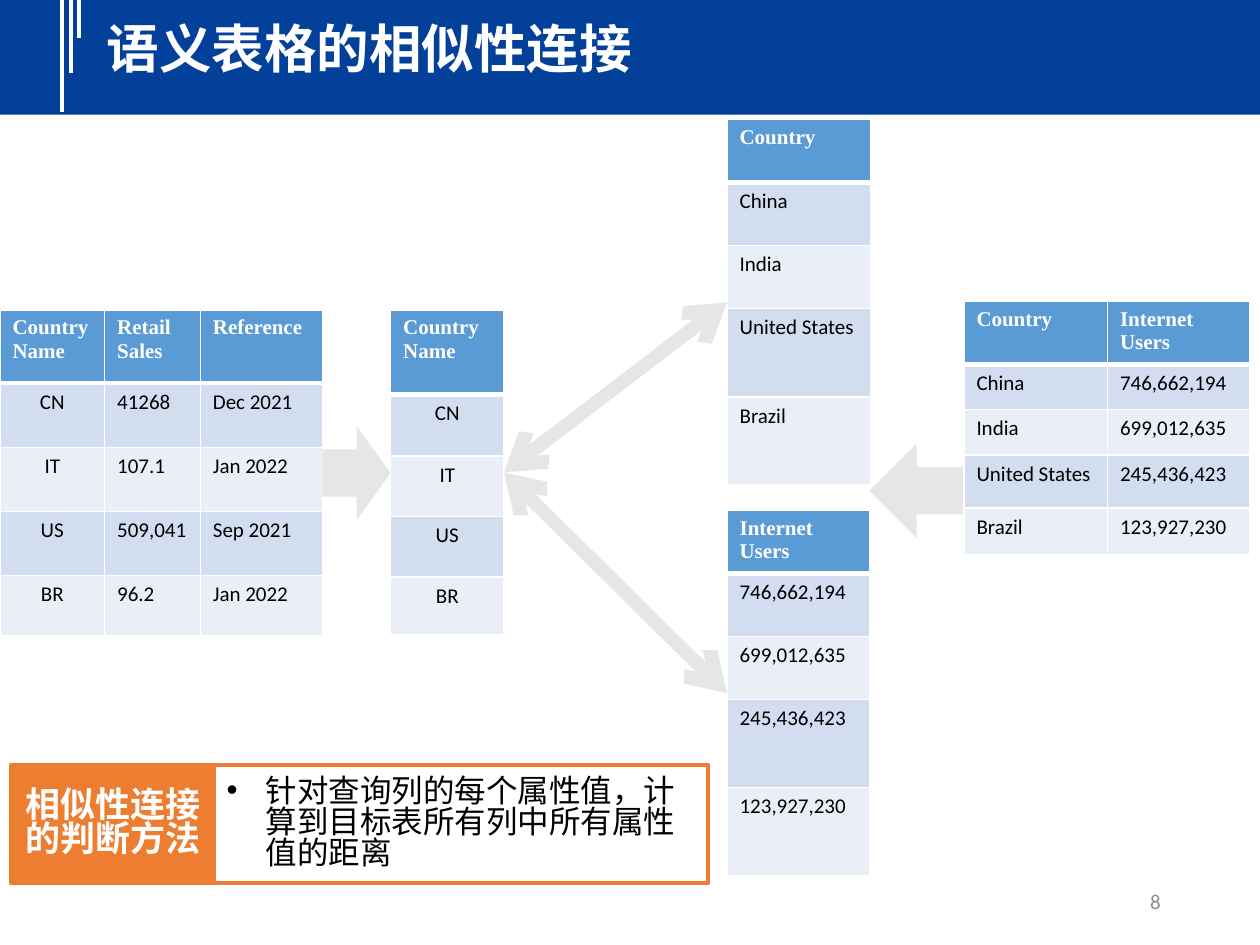
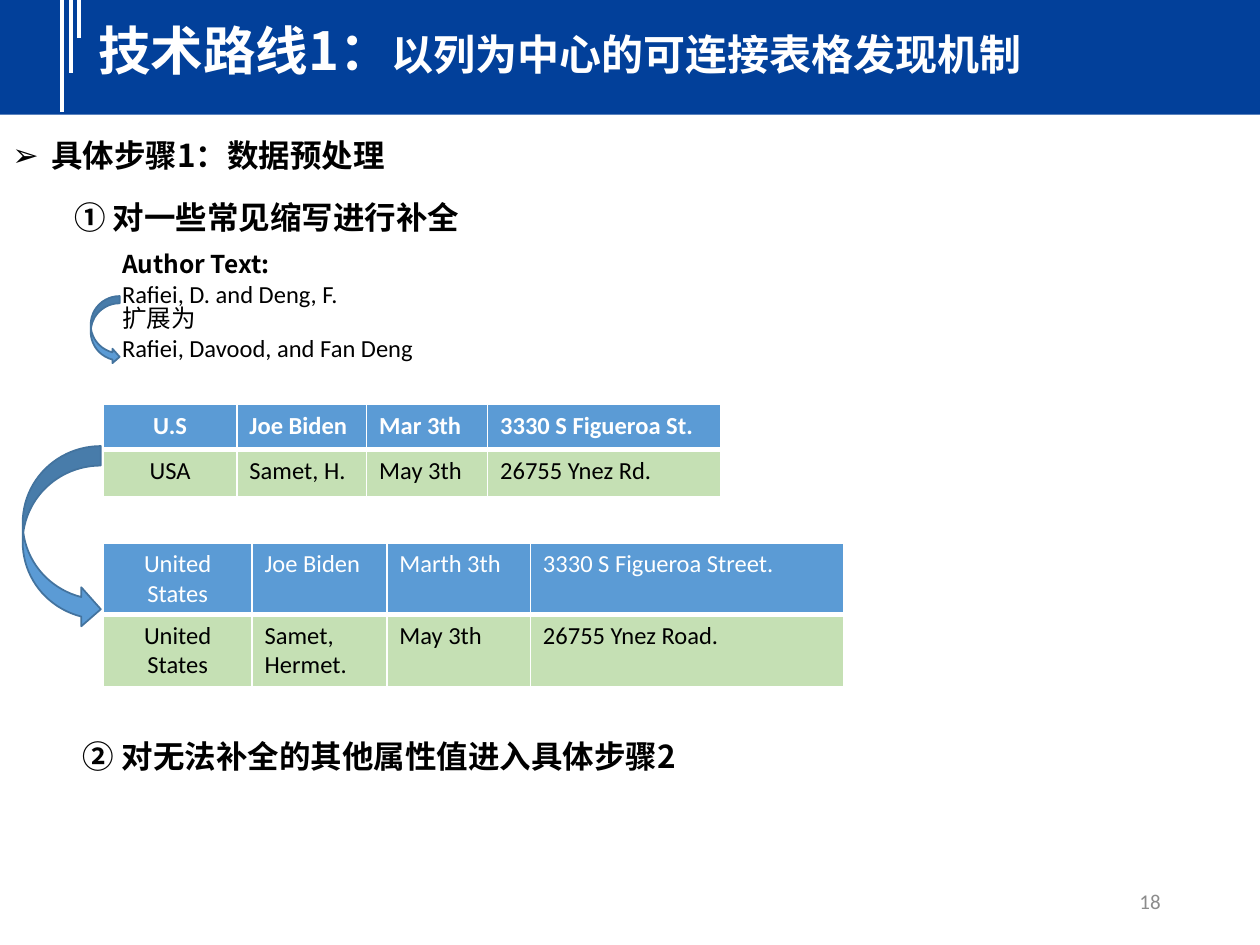
"""Build two slides on similarity joins and joinable table discovery."""
import pptx
import pptx.dml.color
import pptx.enum.shapes
import pptx.enum.text
import pptx.oxml
import pptx.oxml.ns
import pptx.util
from pptx.util import Inches

COLORS = {
    "navy": "02409A", "white": "FFFFFF", "black": "000000", "gray": "8C8C8C",
    "arrow": "E7E6E6", "blue": "5B9BD5", "edge": "43739E", "orange": "ED7D31",
    "band": "D2DEEF", "pale": "EAEFF7", "green": "C5E0B4",
}
CJK, LATIN, SERIF = "Noto Sans CJK SC", "Calibri", "Times New Roman"
SHAPE = pptx.enum.shapes.MSO_SHAPE
ALIGN = pptx.enum.text.PP_ALIGN
MIDDLE = pptx.enum.text.MSO_ANCHOR.MIDDLE
TOP = pptx.enum.text.MSO_ANCHOR.TOP


def rgb(name):
    """Return a palette colour."""
    return pptx.dml.color.RGBColor.from_string(COLORS[name])


def sub(parent, tag, **attrs):
    """Append a DrawingML element with attributes."""
    el = pptx.oxml.parse_xml(f"<a:{tag} {pptx.oxml.ns.nsdecls('a')}/>")
    for key, value in attrs.items():
        el.set(key, str(value))
    parent.append(el)
    return el


def write(p, text, size=18, font=CJK, color="black", bold=False,
          align=ALIGN.LEFT, spacing=None, bullet=None):
    """Add a formatted run to a paragraph."""
    if bullet:
        pPr = p._p.get_or_add_pPr()
        pPr.set("marL", str(Inches(0.31)))
        pPr.set("indent", str(-Inches(0.31)))
        sub(pPr, "buFont", typeface="Arial")
        sub(pPr, "buChar", char=bullet)
    p.alignment = align
    p.line_spacing = spacing or (0.88 if font == CJK else None)
    r = p.add_run()
    r.text = text
    r.font.size = pptx.util.Pt(size)
    r.font.name = font
    r.font.bold = bold
    r.font.color.rgb = rgb(color)
    if font == CJK:
        sub(r._r.get_or_add_rPr(), "ea", typeface=font)


class Deck:
    """Hold the presentation style and the current slide."""

    def __init__(self):
        """Start a 10 by 7.5 inch presentation."""
        self.prs = pptx.Presentation()
        self.prs.slide_width, self.prs.slide_height = Inches(10), Inches(7.5)

    def slide(self, number, title, left, top):
        """Add a slide with its band, stripes, title and number."""
        self.s = self.prs.slides.add_slide(self.prs.slide_layouts[6])
        self.shape(SHAPE.RECTANGLE, 0, -0.03, 10, 0.94, "navy")
        for i, bottom in enumerate((0.89, 0.58, 0.3)):
            x = 0.49 + 0.07 * i
            self.line((x, -0.03), (x, bottom), "white", 2.25)
        tf = self.text(left, top, 10 - left, 0.6)
        for text, size in title:
            write(tf.paragraphs[0], text, size, color="white", bold=True)
        tf = self.text(7.06, 6.95, 2.25, 0.4, anchor=MIDDLE)
        write(tf.paragraphs[0], number, 12, LATIN, "gray", align=ALIGN.RIGHT)

    def text(self, x, y, w, h, wrap=True, anchor=TOP):
        """Add a text box and return its frame."""
        tf = self.s.shapes.add_textbox(Inches(x), Inches(y), Inches(w), Inches(h)).text_frame
        tf.word_wrap = wrap
        tf.vertical_anchor = anchor
        return tf

    def shape(self, kind, x, y, w, h, fill, line=None, width=1):
        """Add a filled preset shape."""
        sp = self.s.shapes.add_shape(kind, Inches(x), Inches(y), Inches(w), Inches(h))
        sp.shadow.inherit = False
        sp.fill.solid()
        sp.fill.fore_color.rgb = rgb(fill)
        if line:
            sp.line.color.rgb = rgb(line)
            sp.line.width = pptx.util.Pt(width)
        else:
            sp.line.fill.background()
        sp.text_frame.vertical_anchor = MIDDLE
        return sp

    def line(self, start, end, color, width):
        """Add a straight connector."""
        cx = self.s.shapes.add_connector(
            pptx.enum.shapes.MSO_CONNECTOR.STRAIGHT, *map(Inches, start + end))
        cx.line.color.rgb = rgb(color)
        cx.line.width = pptx.util.Pt(width)
        sub(cx._element.spPr, "effectLst")
        return cx

    def double_arrow(self, source, target):
        """Join the right side of one table to the left side of another."""
        cx = self.line((0, 0), (1, 1), "arrow", 7.75)
        cx.begin_connect(source, 3)
        cx.end_connect(target, 1)
        for tag in ("headEnd", "tailEnd"):
            sub(cx.line._get_or_add_ln(), tag, type="arrow")

    def table(self, x, y, cols, heights, rows, size=12, head_font=SERIF,
              head_bold=True, fills=("band", "pale"), center_from=None):
        """Add a table; the first column is centred from row center_from."""
        frame = self.s.shapes.add_table(len(rows), len(cols), Inches(x), Inches(y),
                                        Inches(sum(cols)), Inches(sum(heights)))
        tbl = frame.table
        for col, w in zip(tbl.columns, cols):
            col.width = Inches(w)
        for i, (row, h) in enumerate(zip(rows, heights)):
            tbl.rows[i].height = Inches(h)
            for j, text in enumerate(row):
                cell = tbl.cell(i, j)
                centred = j == 0 and center_from is not None and i >= center_from
                write(cell.text_frame.paragraphs[0], text, size,
                      LATIN if i else head_font, "black" if i else "white",
                      head_bold and i == 0, ALIGN.CENTER if centred else ALIGN.LEFT)
                self.borders(cell, i)
                cell.fill.solid()
                cell.fill.fore_color.rgb = rgb(fills[(i - 1) % len(fills)] if i else "blue")
        return frame

    def borders(self, cell, row):
        """Draw white cell borders, thick under the header row."""
        tcPr = cell._tc.get_or_add_tcPr()
        for side in ("lnL", "lnR", "lnT", "lnB"):
            thick = (row, side) in ((0, "lnB"), (1, "lnT"))
            ln = sub(tcPr, side, w=pptx.util.Pt(3 if thick else 1))
            sub(sub(ln, "solidFill"), "srgbClr", val=COLORS["white"])


def similarity_slide(deck):
    """Build the slide on joining semantic tables by similarity."""
    deck.slide("8", [("语义表格的相似性连接", 30)], 0.75, 0.14)
    codes = ["CN", "IT", "US", "BR"]
    sales = ["41268", "107.1", "509,041", "96.2"]
    dates = ["Dec 2021", "Jan 2022", "Sep 2021", "Jan 2022"]
    countries = ["Country", "China", "India", "United States", "Brazil"]
    users = ["Internet Users", "746,662,194", "699,012,635", "245,436,423", "123,927,230"]
    tall = [0.5, 0.5, 0.5, 0.7, 0.7]

    deck.shape(SHAPE.LEFT_ARROW, 6.9, 3.52, 0.78, 0.75, "arrow")
    deck.table(0, 2.46, [0.83, 0.76, 0.97], [0.58, 0.51, 0.51, 0.51, 0.48],
               [("Country Name", "Retail Sales", "Reference"), *zip(codes, sales, dates)],
               center_from=1)
    query = deck.table(3.1, 2.46, [0.9], [0.67, 0.49, 0.48, 0.48, 0.46],
                       [("Country Name",), *zip(codes)], center_from=1)
    deck.table(7.65, 2.39, [1.14, 1.13], [0.5, 0.36, 0.36, 0.42, 0.37],
               list(zip(countries, users)))
    targets = [deck.table(5.77, 0.95, [1.14], tall, list(zip(countries))),
               deck.table(5.77, 4.05, [1.13], tall, list(zip(users)))]
    deck.shape(SHAPE.RIGHT_ARROW, 2.56, 3.38, 0.54, 0.75, "arrow")
    for target in targets:
        deck.double_arrow(query, target)

    method = deck.shape(SHAPE.RECTANGLE, 1.7, 6.07, 3.92, 0.94, "white", "orange", 2.25)
    write(method.text_frame.paragraphs[0],
          "针对查询列的每个属性值，计算到目标表所有列中所有属性值的距离",
          spacing=0.82, bullet="•")
    label = deck.shape(SHAPE.RECTANGLE, 0.09, 6.07, 1.61, 0.94, "orange", "orange", 2.25)
    write(label.text_frame.paragraphs[0], "相似性连接的判断方法", 20, color="white",
          bold=True, align=ALIGN.CENTER, spacing=0.82)


def preprocessing_slide(deck):
    """Build the slide on completing abbreviations."""
    deck.slide("18", [("技术路线1：", 30), ("以列为中心的可连接表格发现机制", 24)], 0.68, 0.16)
    step = deck.text(0, 1.01, 9.83, 0.45)
    write(step.paragraphs[0], "具体步骤1：数据预处理", bold=True, align=ALIGN.JUSTIFY,
          spacing=1.08, bullet="➢")
    for x, y, w, text in ((0.49, 1.56, 3.34, "① 对一些常见缩写进行补全"),
                          (0.56, 5.84, 4.98, "② 对无法补全的其他属性值进入具体步骤2")):
        write(deck.text(x, y, w, 0.4, wrap=False).paragraphs[0], text, bold=True)

    tf = deck.text(0.87, 1.96, 2.68, 1.04)
    for i, (text, font) in enumerate((("Author Text:", CJK), ("Rafiei, D. and Deng, F.", LATIN),
                                      ("扩展为", CJK), ("Rafiei, Davood, and Fan Deng", LATIN))):
        p = tf.add_paragraph() if i else tf.paragraphs[0]
        write(p, text, 14, font, bold=i == 0, spacing=0.82 if i == 2 else None)

    style = dict(size=14, head_font=LATIN, fills=("green",), center_from=0)
    deck.table(0.82, 3.21, [1.06, 1.03, 0.96, 1.85], [0.36, 0.37],
               [("U.S", "Joe Biden", "Mar 3th", "3330 S Figueroa St."),
                ("USA", "Samet, H.", "May 3th", "26755 Ynez Rd.")], **style)
    deck.table(0.82, 4.31, [1.18, 1.07, 1.14, 2.49], [0.56, 0.57],
               [("United States", "Joe Biden", "Marth 3th", "3330 S Figueroa Street."),
                ("United States", "Samet, Hermet.", "May 3th", "26755 Ynez Road.")],
               head_bold=False, **style)
    for box in ((0.72, 2.35, 0.23, 0.54), (0.18, 3.54, 0.62, 1.45)):
        deck.shape(SHAPE.CURVED_RIGHT_ARROW, *box, "blue", "edge")


def main():
    """Build and save the presentation."""
    deck = Deck()
    similarity_slide(deck)
    preprocessing_slide(deck)
    deck.prs.save("out.pptx")


if __name__ == "__main__":
    main()
